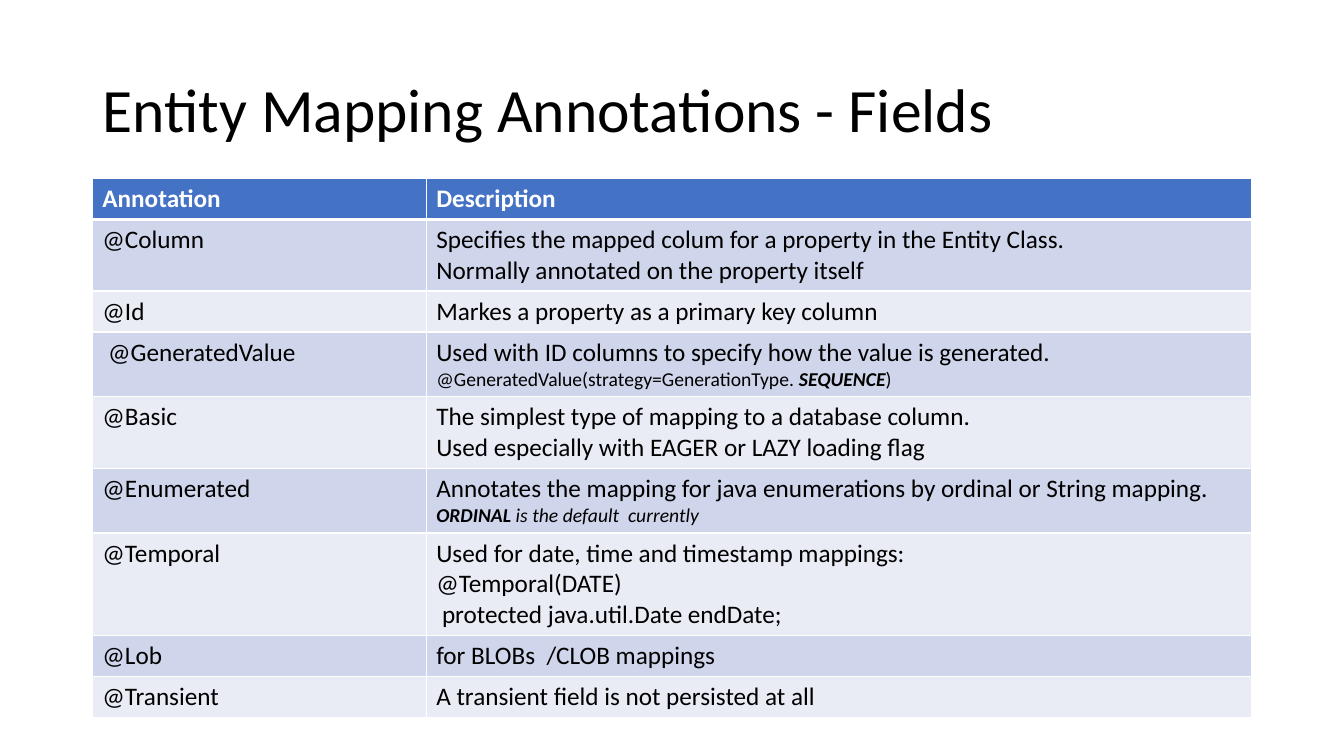
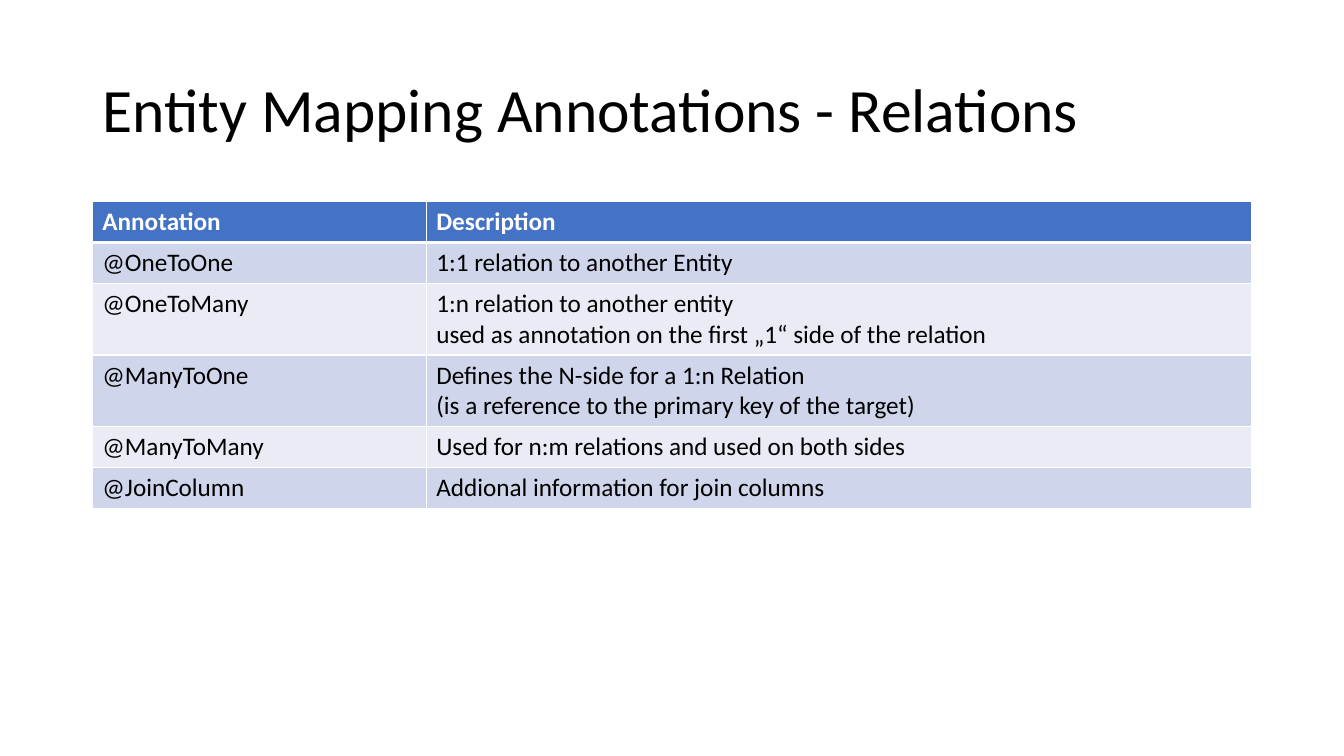
from dataclasses import dataclass

import pptx
import pptx.dml.color
import pptx.enum.text
import pptx.oxml
import pptx.oxml.ns
import pptx.presentation
import pptx.slide
import pptx.table
import pptx.text.text
import pptx.util

EMU_PER_PX = 9525


@dataclass(frozen=True)
class Theme:
    font: str = "Calibri"
    title_size: int = 44
    body_size: int = 18
    note_size: int = 14
    text: str = "000000"
    header_text: str = "FFFFFF"
    header_fill: str = "4472C4"
    bands: tuple[str, str] = ("CFD5EA", "E9EBF5")
    border: str = "FFFFFF"
    border_width: int = 1
    header_rule_width: int = 3


@dataclass(frozen=True)
class Note:
    """A run in the smaller type size."""
    text: str
    bold: bool = False
    italic: bool = False


# A paragraph is plain text or a tuple of runs; "\n" is a line break.
Paragraph = str | tuple[str | Note, ...]


@dataclass(frozen=True)
class Row:
    annotation: str
    description: tuple[Paragraph, ...]


@dataclass(frozen=True)
class TableSlide:
    title: str
    table_top: int
    rows: tuple[Row, ...]


THEME = Theme()

# Layout, in px
SLIDE_SIZE = (1280, 720)
LEFT = 88
COLUMN_WIDTHS = (318, 786)
CONTENT_WIDTH = sum(COLUMN_WIDTHS)
TITLE_TOP, TITLE_HEIGHT = 38, 139
ROW_HEIGHT = 39

# Content
HEADER = Row("Annotation", ("Description",))
SLIDES = (
    TableSlide("Entity Mapping Annotations - Fields", 170, (
        Row("@Column", ("Specifies the mapped colum for a property in the Entity Class.",
                        "Normally annotated on the property itself")),
        Row("@Id", ("Markes a property as a primary key column",)),
        Row(" @GeneratedValue", ((
            "Used with ID columns to specify how the value is generated. \n",
            Note("@GeneratedValue(strategy=GenerationType."),
            Note(" SEQUENCE", bold=True, italic=True),
            Note(")")),)),
        Row("@Basic", ("The simplest type of mapping to a database column.\n"
                       "Used especially with EAGER or LAZY loading flag",)),
        Row("@Enumerated", ((
            "Annotates the mapping for java enumerations by ordinal or String mapping. \n",
            Note("ORDINAL ", bold=True, italic=True),
            Note("is the default  currently", italic=True)),)),
        Row("@Temporal", ("Used for date, time and timestamp mappings:\n@Temporal(DATE)",
                          " protected java.util.Date endDate;")),
        Row("@Lob", ("for BLOBs  /CLOB mappings",)),
        Row("@Transient", ("A transient field is not persisted at all",)),
    )),
    TableSlide("Entity Mapping Annotations - Relations", 192, (
        Row("@OneToOne", ("1:1 relation to another Entity",)),
        Row("@OneToMany", ("1:n relation to another entity\n"
                           "used as annotation on the first „1“ side of the relation",)),
        Row("@ManyToOne", ("Defines the N-side for a 1:n Relation\n"
                           "(is a reference to the primary key of the target)",)),
        Row("@ManyToMany", ("Used for n:m relations and used on both sides",)),
        Row("@JoinColumn", ("Addional information for join columns",)),
    )),
)


def px(length: int) -> pptx.util.Emu:
    return pptx.util.Emu(length * EMU_PER_PX)


def rgb(color: str) -> pptx.dml.color.RGBColor:
    return pptx.dml.color.RGBColor.from_string(color)


def style_paragraph(paragraph: pptx.text.text._Paragraph, size: int, color: str,
                    bold: bool = False) -> None:
    font = paragraph.font
    font.name, font.size, font.bold = THEME.font, pptx.util.Pt(size), bold
    font.color.rgb = rgb(color)


def add_runs(paragraph: pptx.text.text._Paragraph, content: Paragraph) -> None:
    for part in (content,) if isinstance(content, str) else content:
        text = part.text if isinstance(part, Note) else part
        for index, line in enumerate(text.split("\n")):
            if index:
                paragraph.add_line_break()
            if not line:
                continue
            run = paragraph.add_run()
            run.text = line
            if isinstance(part, Note):
                run.font.size = pptx.util.Pt(THEME.note_size)
                run.font.bold, run.font.italic = part.bold, part.italic


def add_borders(cell: pptx.table._Cell, row_index: int) -> None:
    widths = dict.fromkeys(("lnL", "lnR", "lnT", "lnB"), THEME.border_width)
    # The rule under the header is shared by the first two rows.
    if row_index < 2:
        widths["lnT" if row_index else "lnB"] = THEME.header_rule_width
    properties = cell._tc.get_or_add_tcPr()
    for side, width in widths.items():
        properties.append(pptx.oxml.parse_xml(
            f'<a:{side} {pptx.oxml.ns.nsdecls("a")} w="{pptx.util.Pt(width)}">'
            f'<a:solidFill><a:srgbClr val="{THEME.border}"/></a:solidFill></a:{side}>'))


def fill_cell(cell: pptx.table._Cell, paragraphs: tuple[Paragraph, ...], row_index: int) -> None:
    is_header = row_index == 0
    add_borders(cell, row_index)
    cell.fill.solid()
    cell.fill.fore_color.rgb = rgb(
        THEME.header_fill if is_header else THEME.bands[(row_index - 1) % 2])
    frame = cell.text_frame
    for index, content in enumerate(paragraphs):
        paragraph = frame.add_paragraph() if index else frame.paragraphs[0]
        style_paragraph(paragraph, THEME.body_size,
                        THEME.header_text if is_header else THEME.text, is_header)
        add_runs(paragraph, content)


def set_title(slide: pptx.slide.Slide, text: str) -> None:
    title = slide.shapes.title
    title.left, title.top = px(LEFT), px(TITLE_TOP)
    title.width, title.height = px(CONTENT_WIDTH), px(TITLE_HEIGHT)
    title.text_frame.text = text
    title.text_frame.vertical_anchor = pptx.enum.text.MSO_ANCHOR.MIDDLE
    paragraph = title.text_frame.paragraphs[0]
    paragraph.alignment = pptx.enum.text.PP_ALIGN.LEFT
    paragraph.line_spacing = 0.9
    style_paragraph(paragraph, THEME.title_size, THEME.text)


def add_annotation_table(slide: pptx.slide.Slide, top: int, body: tuple[Row, ...]) -> None:
    rows = (HEADER, *body)
    table = slide.shapes.add_table(
        len(rows), len(COLUMN_WIDTHS), px(LEFT), px(top),
        px(CONTENT_WIDTH), px(ROW_HEIGHT * len(rows))).table
    for column, width in zip(table.columns, COLUMN_WIDTHS):
        column.width = px(width)
    for row_index, row in enumerate(rows):
        fill_cell(table.cell(row_index, 0), (row.annotation,), row_index)
        fill_cell(table.cell(row_index, 1), row.description, row_index)


def add_table_slide(presentation: pptx.presentation.Presentation, content: TableSlide) -> None:
    title_only = presentation.slide_layouts.get_by_name("Title Only")
    slide = presentation.slides.add_slide(title_only)
    set_title(slide, content.title)
    add_annotation_table(slide, content.table_top, content.rows)


def main() -> None:
    presentation = pptx.Presentation()
    presentation.slide_width, presentation.slide_height = map(px, SLIDE_SIZE)
    for content in SLIDES:
        add_table_slide(presentation, content)
    presentation.save("out.pptx")


if __name__ == "__main__":
    main()
